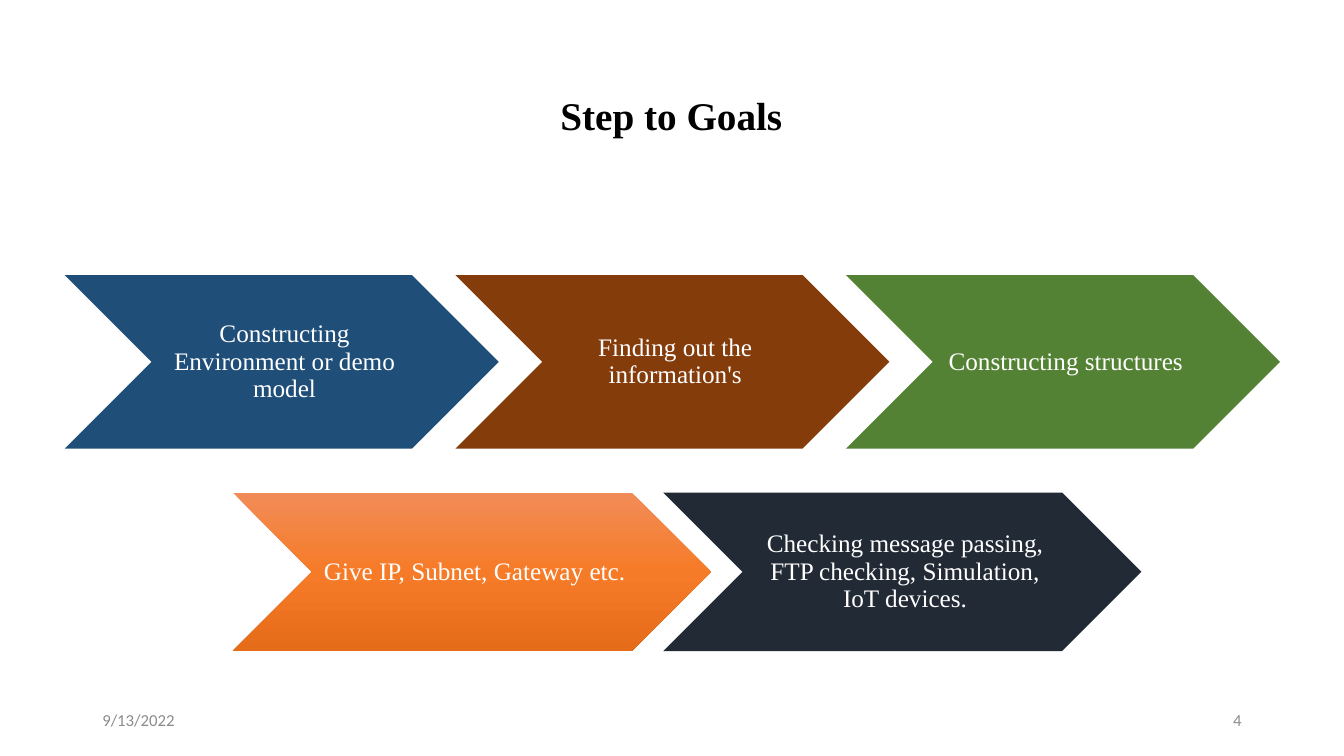
from copy import deepcopy

from pptx import Presentation
from pptx.dml.color import RGBColor
from pptx.enum.shapes import MSO_SHAPE
from pptx.enum.text import MSO_ANCHOR, PP_ALIGN
from pptx.oxml.ns import qn
from pptx.util import Pt

CHEVRON = MSO_SHAPE.CHEVRON
MIDDLE = MSO_ANCHOR.MIDDLE
LEFT, CENTER, RIGHT = PP_ALIGN.LEFT, PP_ALIGN.CENTER, PP_ALIGN.RIGHT
TITLE_ONLY = 5
SERIF, SANS = "Times New Roman", "Calibri"
STEP_PITCH = 0.9

COLORS = {
    "title": "000000",
    "step_text": "FFFFFF",
    "footer": "8C8C8C",
    "blue": "1F4E79",
    "brown": "843C0B",
    "green": "548235",
    "orange_light": "F18C57",
    "orange": "F67B28",
    "orange_dark": "E56C19",
    "navy": "222A35",
}

FIRST_STEPS = [
    ("Constructing Environment or demo model", ["blue"]),
    ("Finding out the information's", ["brown"]),
    ("Constructing structures", ["green"]),
]
LAST_STEPS = [
    ("Give IP, Subnet, Gateway etc.", ["orange_light", "orange", "orange_dark"]),
    ("Checking message passing, FTP checking, Simulation, IoT devices.", ["navy"]),
]


def rgb(name):
    """Return the named colour."""
    return RGBColor.from_string(COLORS[name])


def write(frame, text, font_name, size, color, align, bold=False):
    """Put one vertically centred paragraph into a text frame."""
    frame.word_wrap = True
    frame.vertical_anchor = MIDDLE
    paragraph = frame.paragraphs[0]
    paragraph.text = text
    paragraph.alignment = align
    paragraph.line_spacing = 0.9
    font = paragraph.font
    font.name, font.size, font.bold = font_name, Pt(size), bold
    font.color.rgb = rgb(color)


def paint(step, tones):
    """Fill a step with one colour or a vertical three-tone gradient."""
    if len(tones) == 1:
        step.fill.solid()
        step.fill.fore_color.rgb = rgb(tones[0])
        return
    step.fill.gradient()
    step.fill.gradient_angle = 270
    stop_list = step.fill._xPr.find(qn("a:gradFill")).find(qn("a:gsLst"))
    stop_list.insert(1, deepcopy(stop_list[0]))
    for stop, tone, position in zip(step.fill.gradient_stops, tones, (0, 0.5, 1)):
        stop.color.rgb = rgb(tone)
        stop.position = position


def add_title(slide, left, top, width, height):
    """Place the heading in the title placeholder."""
    heading = slide.shapes.title
    heading.left, heading.top = Pt(left), Pt(top)
    heading.width, heading.height = Pt(width), Pt(height)
    write(heading.text_frame, "Step to Goals", SERIF, 28, "title", CENTER, bold=True)


def add_steps(slide, steps, left, top, width, height):
    """Spread overlapping chevrons evenly over a box."""
    step_width = width / (1 + STEP_PITCH * (len(steps) - 1))
    for index, (text, tones) in enumerate(steps):
        step = slide.shapes.add_shape(
            CHEVRON, Pt(left + index * STEP_PITCH * step_width), Pt(top),
            Pt(step_width), Pt(height))
        step.shadow.inherit = False
        step.line.fill.background()
        paint(step, tones)
        frame = step.text_frame
        frame.margin_left = Pt(6)
        frame.margin_top = frame.margin_right = frame.margin_bottom = Pt(2)
        write(frame, text, SERIF, 18, "step_text", CENTER)


def add_footer(slide, left, top, width, height):
    """Place the date and the slide number at both ends of a box."""
    field_width = 216
    fields = [("9/13/2022", left, LEFT), ("4", left + width - field_width, RIGHT)]
    for text, field_left, align in fields:
        field = slide.shapes.add_textbox(
            Pt(field_left), Pt(top), Pt(field_width), Pt(height))
        write(field.text_frame, text, SANS, 12, "footer", align)


def main():
    """Build the slide and save it."""
    deck = Presentation()
    deck.slide_width, deck.slide_height = Pt(960), Pt(540)
    slide = deck.slides.add_slide(deck.slide_layouts[TITLE_ONLY])
    add_title(slide, 119.5, 30, 720, 108)
    add_steps(slide, FIRST_STEPS, 46.3, 196.5, 868, 124)
    add_steps(slide, LAST_STEPS, 166.3, 351.8, 649, 113.3)
    add_footer(slide, 66, 500.5, 828, 28.8)
    deck.save("out.pptx")


if __name__ == "__main__":
    main()
